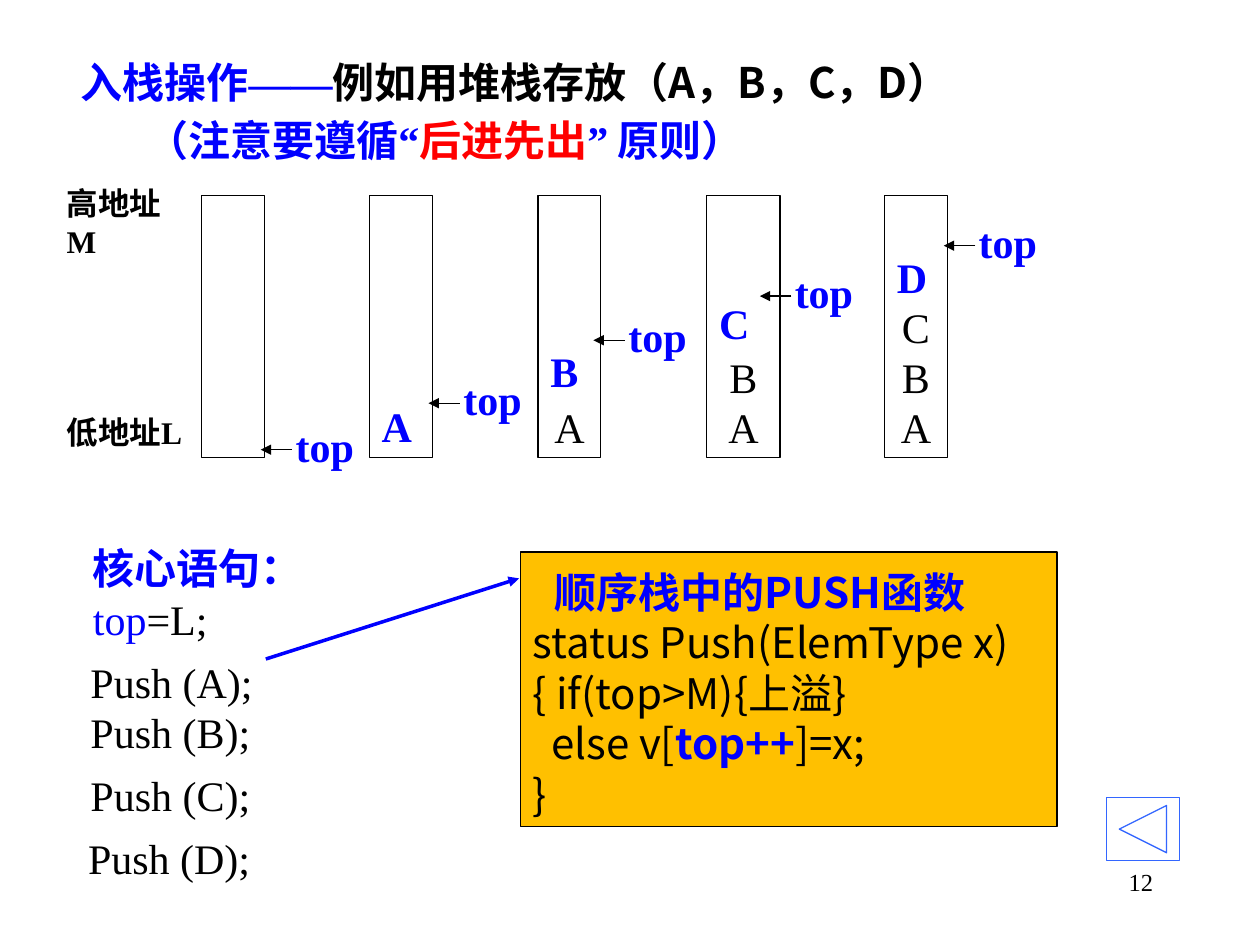
"""Build the slide on pushing A, B, C and D onto a sequential stack."""
import dataclasses
import typing

import lxml.etree
import pptx
import pptx.dml.color
import pptx.enum.shapes
import pptx.enum.text
import pptx.oxml.ns
import pptx.util

Pt = pptx.util.Pt
Align = pptx.enum.text.PP_ALIGN
Anchor = pptx.enum.text.MSO_ANCHOR
Preset = pptx.enum.shapes.MSO_SHAPE


@dataclasses.dataclass(frozen=True)
class Theme:
    """Colours, faces and type sizes of the slide."""

    black: str = "000000"
    blue: str = "0000FF"
    red: str = "FF0000"
    amber: str = "FFC000"
    button: str = "3366FF"
    serif: str = "Times New Roman"
    sans: str = "Noto Sans CJK SC"
    body: float = 24
    label: float = 18
    number: float = 14
    leading: float = 1.2
    title_line: float = 33
    heading_line: float = 33.6
    hairline: float = 0.75
    heavy: float = 2


THEME = Theme()


@dataclasses.dataclass(frozen=True)
class Span:
    """A stretch of text in one format."""

    text: str
    color: str = THEME.black
    bold: bool = False
    latin: str = THEME.serif
    asian: str = THEME.sans


@dataclasses.dataclass(frozen=True)
class Para:
    """A paragraph with its spans and layout."""

    spans: tuple[Span, ...]
    size: float = THEME.body
    align: Align = Align.LEFT
    line: float | None = None
    indent: float = 0


@dataclasses.dataclass(frozen=True)
class Area:
    """A rectangle on the page in points."""

    left: float
    top: float
    width: float
    height: float

    def lengths(self) -> tuple[pptx.util.Length, ...]:
        """Return the rectangle as slide lengths."""
        return tuple(Pt(value) for value in dataclasses.astuple(self))


@dataclasses.dataclass(frozen=True)
class Stack:
    """One stage of the stack: settled items, new item and top pointer."""

    left: float
    settled: str
    pushed: str
    pushed_top: float
    tip_x: float
    tip_y: float
    width: float = 36


def apply(target: typing.Any, values: dict[str, typing.Any]) -> None:
    """Set every named attribute on the target."""
    for name, value in values.items():
        setattr(target, name, value)


def rgb(color: str) -> pptx.dml.color.RGBColor:
    """Return a colour from its hex digits."""
    return pptx.dml.color.RGBColor.from_string(color)


def write(frame: typing.Any, paras: typing.Sequence[Para], **layout: typing.Any) -> None:
    """Fill a text frame with formatted paragraphs."""
    apply(frame, {"word_wrap": True, "auto_size": pptx.enum.text.MSO_AUTO_SIZE.NONE,
                  "vertical_anchor": Anchor.TOP} | layout)
    for index, item in enumerate(paras):
        para = frame.add_paragraph() if index else frame.paragraphs[0]
        apply(para, {"alignment": item.align, "space_before": Pt(0), "space_after": Pt(0),
                     "line_spacing": Pt(item.line or item.size * THEME.leading)})
        if item.indent:
            para._p.get_or_add_pPr().set("indent", str(Pt(item.indent)))
        for part in item.spans:
            span = para.add_run()
            span.text = part.text
            apply(span.font, {"size": Pt(item.size), "bold": part.bold, "name": part.latin})
            span.font.color.rgb = rgb(part.color)
            asian = lxml.etree.SubElement(span.font._element, pptx.oxml.ns.qn("a:ea"))
            asian.set("typeface", part.asian)


def add_text(page: typing.Any, area: Area, *paras: Para, **layout: typing.Any) -> None:
    """Add a text box."""
    write(page.shapes.add_textbox(*area.lengths()).text_frame, paras, **layout)


def add_box(page: typing.Any, area: Area, preset: Preset = Preset.RECTANGLE,
            line: str = THEME.black, fill: str | None = None) -> typing.Any:
    """Add an outlined preset shape."""
    box = page.shapes.add_shape(preset, *area.lengths())
    box.shadow.inherit = False
    if fill:
        box.fill.solid()
        box.fill.fore_color.rgb = rgb(fill)
    else:
        box.fill.background()
    box.line.color.rgb = rgb(line)
    box.line.width = Pt(THEME.hairline)
    return box


def add_arrow(page: typing.Any, start: tuple[float, float], end: tuple[float, float],
              color: str = THEME.black, width: float = THEME.hairline) -> None:
    """Add a straight arrow that points at its end."""
    arrow = page.shapes.add_connector(pptx.enum.shapes.MSO_CONNECTOR.STRAIGHT,
                                      *(Pt(value) for value in start + end))
    arrow.line.color.rgb = rgb(color)
    arrow.line.width = Pt(width)
    head = lxml.etree.SubElement(arrow.line._get_or_add_ln(), pptx.oxml.ns.qn("a:tailEnd"))
    head.set("type", "triangle")
    lxml.etree.SubElement(arrow._element.spPr, pptx.oxml.ns.qn("a:effectLst"))


def add_stack(page: typing.Any, stack: Stack) -> None:
    """Draw one stage of the stack with its top pointer."""
    box = add_box(page, Area(stack.left, 111.6, stack.width, 149.8))
    if stack.settled:
        write(box.text_frame, [Para((Span(item),), align=Align.CENTER) for item in stack.settled],
              word_wrap=False, vertical_anchor=Anchor.BOTTOM, margin_bottom=Pt(3))
    if stack.pushed:
        add_text(page, Area(stack.left, stack.pushed_top, 31.5, 36),
                 Para((Span(stack.pushed, THEME.blue, True),)), word_wrap=False)
    add_arrow(page, (stack.tip_x + 18, stack.tip_y), (stack.tip_x, stack.tip_y))
    add_text(page, Area(stack.tip_x + 12.9, stack.tip_y - 20.4, 47.5, 36),
             Para((Span("top", THEME.blue, True),)), word_wrap=False)


def add_title(page: typing.Any) -> None:
    """Fill the title placeholder."""
    title = page.shapes.title
    apply(title, dict(zip(("left", "top", "width", "height"),
                          Area(38.9, 25.2, 627, 72).lengths())))
    sans, serif = (THEME.sans,) * 2, (THEME.serif,) * 2
    first = (Span("入栈操作", THEME.blue, True, *sans), Span("——", THEME.blue, True, *serif),
             Span("例如用堆栈存放（A，B，C，D）", THEME.black, True, *sans))
    second = (Span("（注意要遵循", THEME.blue, True, *sans), Span("“", THEME.blue, True, *serif),
              Span("后进先出", THEME.red, True, *sans), Span("”", THEME.blue, True, *serif),
              Span(" 原则）", THEME.blue, True, *sans))
    write(title.text_frame, [Para(first, line=THEME.title_line),
                             Para(second, line=THEME.title_line, indent=37.5)],
          vertical_anchor=Anchor.MIDDLE)


def add_code(page: typing.Any) -> None:
    """Draw the panel with the push function."""
    def code(text: str, color: str = THEME.black, bold: bool = False) -> Span:
        return Span(text, color, bold, THEME.sans)

    lines = ((code("status Push(ElemType x)"),), (code("{ if(top>M){上溢}"),),
             (code("  else v["), code("top++", THEME.blue, True), code("]=x;")), (code("}"),))
    heading = Para((code("顺序栈中的PUSH函数", THEME.blue, True),), align=Align.JUSTIFY,
                   line=THEME.heading_line, indent=12.5)
    panel = add_box(page, Area(297.4, 315.4, 306.7, 157), fill=THEME.amber)
    write(panel.text_frame, [heading, *(Para(line, align=Align.JUSTIFY) for line in lines)])


def main() -> None:
    """Build and save the deck."""
    deck = pptx.Presentation()
    apply(deck, {"slide_width": Pt(720), "slide_height": Pt(540)})
    page = deck.slides.add_slide(deck.slide_layouts[5])
    add_title(page)
    for stack in (Stack(115.2, "", "", 0, 149, 257),
                  Stack(211, "", "A", 225.4, 244.8, 230.4),
                  Stack(307.4, "A", "B", 193.7, 339.1, 194.4),
                  Stack(403.9, "BA", "C", 166.3, 434.2, 169.2, 41.8),
                  Stack(505.4, "CBA", "D", 140.4, 539.3, 140.4)):
        add_stack(page, stack)
    for text, top in (("高地址M", 101.5), ("低地址L", 232.6)):
        add_text(page, Area(31, top, 80.6, 28.8),
                 Para((Span(text, bold=True),), THEME.label))
    add_text(page, Area(46, 306.7, 161.3, 64.8),
             Para((Span("核心语句：", THEME.blue, True),)),
             Para((Span("top", THEME.blue), Span("=L;"))))
    for item, left, top in zip("ABCD", (44.6, 44.6, 44.6, 43.2), (371.5, 400.3, 436.3, 472.3)):
        add_text(page, Area(left, top, 107.3, 36), Para((Span(f"Push ({item});"),)),
                 word_wrap=False)
    add_code(page)
    add_arrow(page, (151.9, 376.6), (296.6, 330.5), THEME.blue, THEME.heavy)
    button = add_box(page, Area(632.2, 455.8, 41.8, 36),
                     Preset.ACTION_BUTTON_FORWARD_OR_NEXT, THEME.button)
    button._element.spPr.xfrm.set("flipH", "1")
    add_text(page, Area(516.2, 491.8, 149.8, 36),
             Para((Span("12"),), THEME.number, Align.RIGHT))
    deck.save("out.pptx")


if __name__ == "__main__":
    main()
